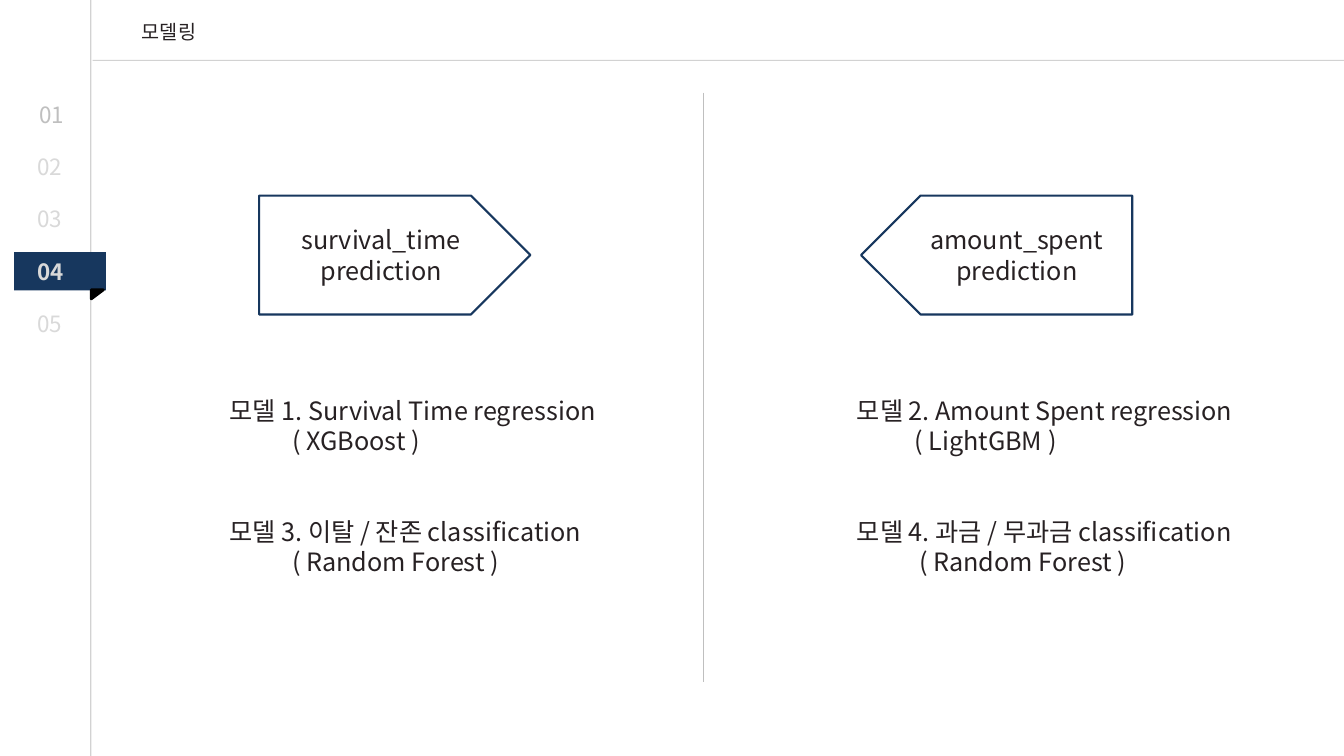
import dataclasses

import lxml.etree
import pptx
import pptx.dml.color
import pptx.enum.shapes
import pptx.enum.text
import pptx.oxml.ns
import pptx.util

Inches = pptx.util.Inches
Pt = pptx.util.Pt
qn = pptx.oxml.ns.qn
KIND = pptx.enum.shapes.MSO_SHAPE
ALIGN = pptx.enum.text.PP_ALIGN


@dataclasses.dataclass(frozen=True)
class Theme:
    font: str = "Noto Sans CJK KR"
    ink: str = "272123"
    navy: str = "17375E"
    black: str = "000000"
    rule: str = "A6A6A6"
    split: str = "BFBFBF"
    first: str = "BFBFBF"
    muted: str = "D9D9D9"
    title: int = 14
    menu: int = 16
    body: int = 18
    pitch: float = 1.2


def assign(target, values):
    for name, value in values.items():
        setattr(target, name, value)


def rgb(value):
    return pptx.dml.color.RGBColor.from_string(value)


class Board:
    """Holds the theme and the slide being drawn."""

    def __init__(self, slide, theme):
        self.slide = slide
        self.theme = theme

    def rule(self, start, end, color, alpha=None):
        """Draw a thin line; alpha is its opacity in percent."""
        line = self.slide.shapes.add_connector(
            pptx.enum.shapes.MSO_CONNECTOR.STRAIGHT,
            *map(Inches, start + end))
        line.line.width = Pt(0.75)
        line.line.color.rgb = rgb(color)
        props = line._element.spPr
        lxml.etree.SubElement(props, qn("a:effectLst"))
        if alpha:
            tint = props.find(".//" + qn("a:srgbClr"))
            lxml.etree.SubElement(tint, qn("a:alpha"), val=str(alpha * 1000))

    def shape(self, kind, box, fill=None, line=None, width=1, turn=0, group=None):
        item = (group or self.slide).shapes.add_shape(kind, *map(Inches, box))
        item.shadow.inherit = False
        item.rotation = turn
        if fill:
            item.fill.solid()
            item.fill.fore_color.rgb = rgb(fill)
        else:
            item.fill.background()
        if line:
            item.line.color.rgb = rgb(line)
            item.line.width = Pt(width)
        else:
            item.line.fill.background()

    def text(self, box, rows, size, color=None, bold=False, align=ALIGN.LEFT, group=None):
        """Write rows of (words, left indent in inches, space before in points)."""
        frame = (group or self.slide).shapes.add_textbox(*map(Inches, box)).text_frame
        assign(frame, {"word_wrap": True,
                       "auto_size": pptx.enum.text.MSO_AUTO_SIZE.SHAPE_TO_FIT_TEXT})
        for index, (words, indent, before) in enumerate(rows):
            para = frame.add_paragraph() if index else frame.paragraphs[0]
            assign(para, {"alignment": align, "space_before": Pt(before),
                          "line_spacing": Pt(size * self.theme.pitch)})
            if indent:
                para._p.get_or_add_pPr().set("marL", str(Inches(indent)))
            run = para.add_run()
            run.text = words
            assign(run.font, {"size": Pt(size), "bold": bold, "name": self.theme.font})
            run.font.color.rgb = rgb(color or self.theme.ink)
            lxml.etree.SubElement(run._r.get_or_add_rPr(), qn("a:ea"),
                                  typeface=self.theme.font)

    def menu(self, count, active):
        theme = self.theme
        for index in range(count):
            number = index + 1
            left = 0.27 if index else 0.29
            self.text((left, 0.95 + 0.52 * index, 0.49, 0.37),
                      [(f"{number:02}", 0, 0)], theme.menu,
                      theme.muted if index else theme.first, number == active)

    def target(self, left, turn, label_left, width, name):
        """Draw a pentagon arrow grouped with its two-line label."""
        group = self.slide.shapes.add_group_shape()
        self.text((label_left, 2.18, width, 0.71),
                  [(name, 0, 0), ("prediction", 0, 0)],
                  self.theme.body, align=ALIGN.CENTER, group=group)
        self.shape(KIND.PENTAGON, (left, 1.94, 2.69, 1.18),
                   line=self.theme.navy, width=1.5, turn=turn, group=group)

    def models(self, left, width, pairs):
        """List models, each with its method indented below."""
        gap = 2 * self.theme.body * self.theme.pitch
        rows = []
        for index, (model, method, indent) in enumerate(pairs):
            rows += [(model, 0, gap * index), (method, indent, 0)]
        self.text((left, 3.87, width, 1.92), rows, self.theme.body)


def main():
    deck = pptx.Presentation()
    assign(deck, {"slide_width": Inches(13.33), "slide_height": Inches(7.5)})
    theme = Theme()
    board = Board(deck.slides.add_slide(deck.slide_layouts[6]), theme)

    board.rule((0.92, 0.6), (13.33, 0.6), theme.rule, 50)
    board.text((1.31, 0.15, 6.46, 0.34), [("모델링", 0, 0)], theme.title)
    board.rule((0.9, 0), (0.9, 7.5), theme.rule, 50)
    board.shape(KIND.RECTANGLE, (0.14, 2.5, 0.91, 0.38), fill=theme.navy)
    board.shape(KIND.RIGHT_TRIANGLE, (0.92, 2.86, 0.09, 0.12),
                fill=theme.black, line=theme.black, width=2, turn=90)
    board.menu(5, active=4)

    board.target(2.57, 0, 2.7, 2.16, "survival_time")
    board.target(8.54, 180, 9.11, 1.95, "amount_spent")
    board.rule((6.98, 0.92), (6.98, 6.77), theme.split)
    board.models(2.18, 4.02, [
        ("모델 1. Survival Time regression", "( XGBoost )", 0.62),
        ("모델 3. 이탈 / 잔존 classification", "( Random Forest )", 0.62)])
    board.models(8.4, 3.94, [
        ("모델 2. Amount Spent regression", "( LightGBM )", 0.57),
        ("모델 4. 과금 / 무과금 classification", "( Random Forest )", 0.62)])
    deck.save("out.pptx")


if __name__ == "__main__":
    main()
